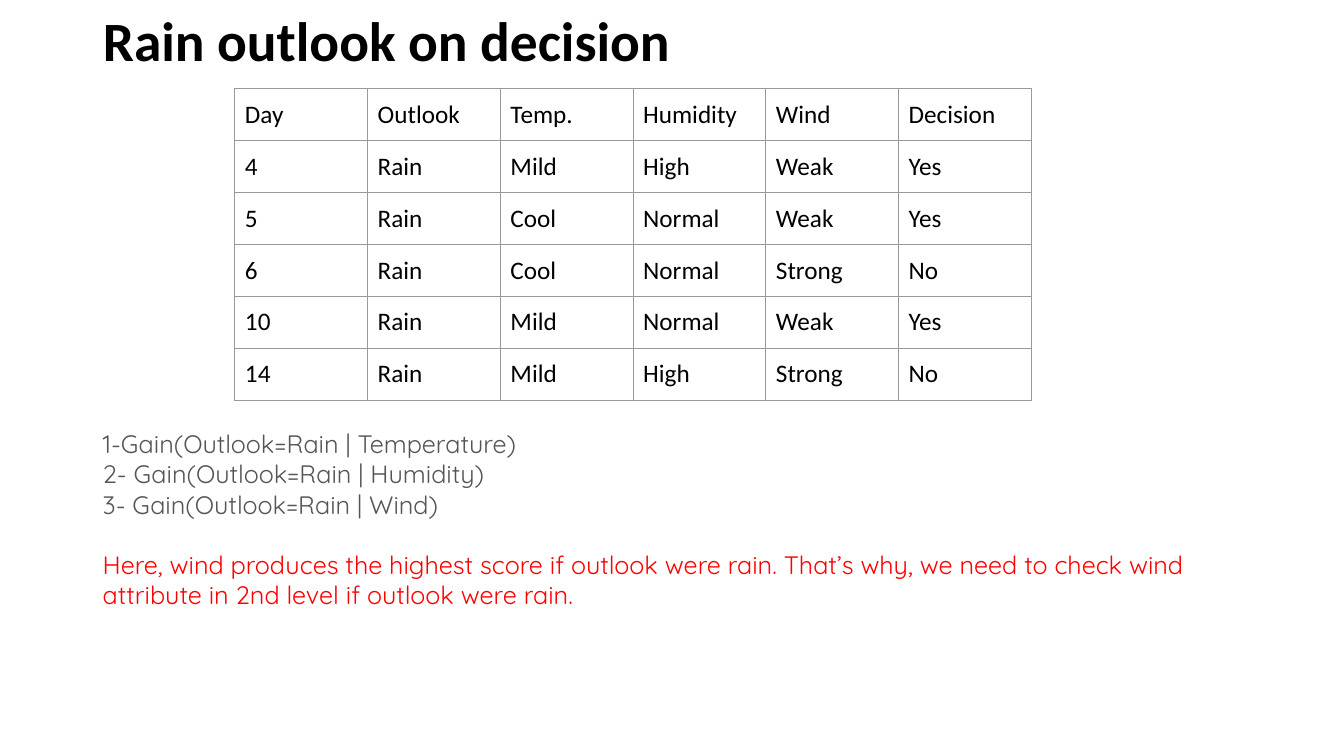
import pptx
import pptx.util
import pptx.dml.color
import pptx.enum.text
import pptx.oxml
import pptx.oxml.ns
from dataclasses import dataclass

Inches, Pt = pptx.util.Inches, pptx.util.Pt
RGB = pptx.dml.color.RGBColor.from_string
MSO_ANCHOR = pptx.enum.text.MSO_ANCHOR
MSO_AUTO_SIZE = pptx.enum.text.MSO_AUTO_SIZE


@dataclass
class Theme:
    heading_font: str = "Calibri"
    body_font: str = "Quicksand"
    heading_size: float = 39.6
    body_size: float = 18
    black: str = "000000"
    white: str = "FFFFFF"
    grey: str = "555555"
    red: str = "FF0000"
    border: str = "999999"


theme = Theme()


def style(p, font, size, color, bold=False):
    for r in p.runs:
        r.font.name = font
        r.font.size = Pt(size)
        r.font.bold = bold
        r.font.color.rgb = RGB(color)


def add_borders(cell):
    tcPr = cell._tc.get_or_add_tcPr()
    for side in ("lnL", "lnR", "lnT", "lnB"):
        tcPr.append(pptx.oxml.parse_xml(
            f'<a:{side} {pptx.oxml.ns.nsdecls("a")} w="{Pt(0.75)}"><a:solidFill>'
            f'<a:srgbClr val="{theme.border}"/></a:solidFill></a:{side}>'))


prs = pptx.Presentation()
prs.slide_width, prs.slide_height = Inches(13.33), Inches(7.5)
s = prs.slides.add_slide(prs.slide_layouts[5])
left, width = Inches(0.92), Inches(11.5)

# Title
title = s.shapes.title
title.left, title.top, title.width, title.height = left, Inches(0.1), width, Inches(0.67)
tf = title.text_frame
tf.text = "Rain outlook on decision"
tf.word_wrap = True
tf.auto_size = MSO_AUTO_SIZE.NONE
tf.vertical_anchor = MSO_ANCHOR.MIDDLE
p = tf.paragraphs[0]
p.alignment = pptx.enum.text.PP_ALIGN.LEFT
p.line_spacing = 0.9
style(p, theme.heading_font, theme.heading_size, theme.black, bold=True)

# Table of rainy days
days = [
    ("Day", "Outlook", "Temp.", "Humidity", "Wind", "Decision"),
    ("4", "Rain", "Mild", "High", "Weak", "Yes"),
    ("5", "Rain", "Cool", "Normal", "Weak", "Yes"),
    ("6", "Rain", "Cool", "Normal", "Strong", "No"),
    ("10", "Rain", "Mild", "Normal", "Weak", "Yes"),
    ("14", "Rain", "Mild", "High", "Strong", "No"),
]
table = s.shapes.add_table(len(days), len(days[0]), Inches(2.33), Inches(0.88),
                           Inches(7.9), Inches(3.09)).table
table.first_row = table.horz_banding = False
for i, day in enumerate(days):
    for j, value in enumerate(day):
        cell = table.cell(i, j)
        cell.text = value
        cell.vertical_anchor = MSO_ANCHOR.MIDDLE
        cell.margin_left = cell.margin_right = Inches(0.1)
        cell.margin_top = cell.margin_bottom = Inches(0.1)
        add_borders(cell)
        cell.fill.solid()
        cell.fill.fore_color.rgb = RGB(theme.white)
        style(cell.text_frame.paragraphs[0], theme.heading_font, theme.body_size, theme.black)

# Gains and conclusion
notes = [
    ("1-Gain(Outlook=Rain | Temperature)", theme.grey),
    ("2- Gain(Outlook=Rain | Humidity)", theme.grey),
    ("3- Gain(Outlook=Rain | Wind)", theme.grey),
    ("Here, wind produces the highest score if outlook were rain. That’s why, "
     "we need to check wind attribute in 2nd level if outlook were rain.", theme.red),
]
tf = s.shapes.add_textbox(left, Inches(4.2), width, Inches(1.92)).text_frame
tf.word_wrap = True
tf.auto_size = MSO_AUTO_SIZE.SHAPE_TO_FIT_TEXT
tf.text = "\n".join(text for text, color in notes)
for p, (text, color) in zip(tf.paragraphs, notes):
    style(p, theme.body_font, theme.body_size, color)
tf.paragraphs[-1].space_before = Pt(21.6)

prs.save("out.pptx")
